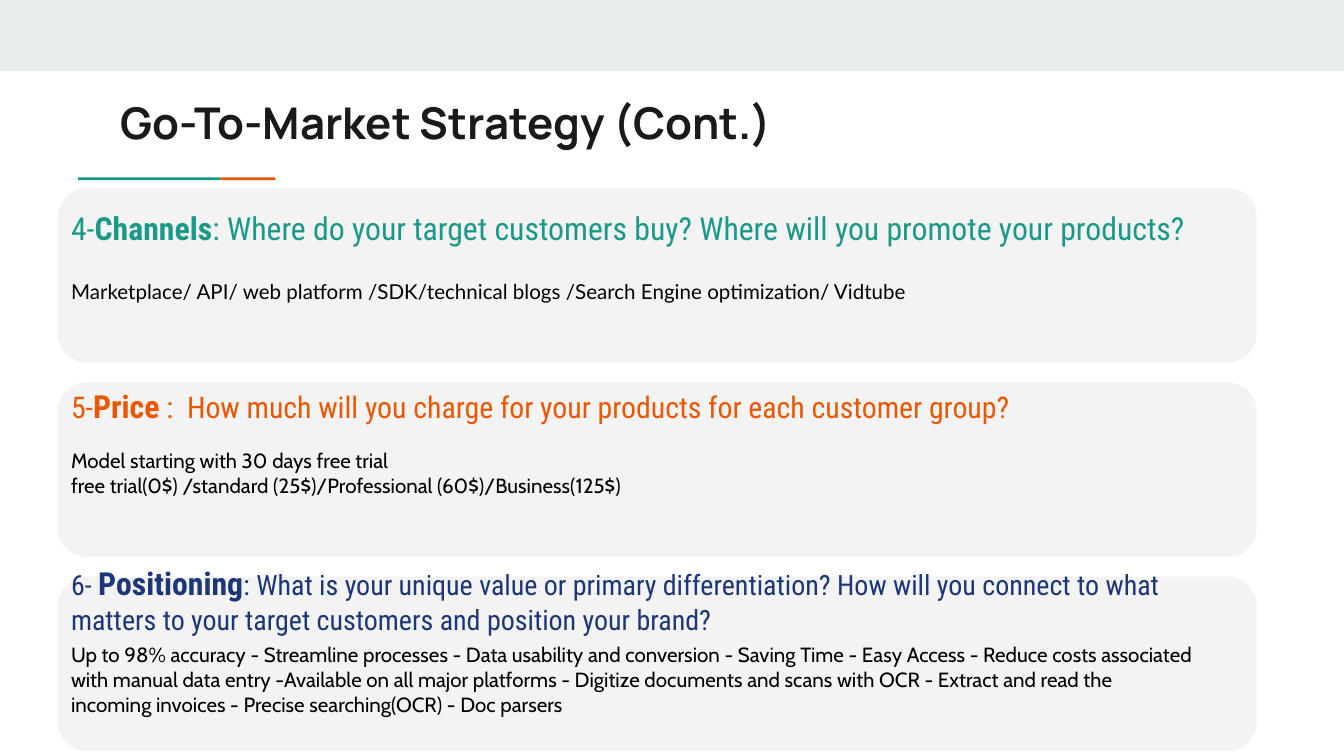
from dataclasses import dataclass

from pptx import Presentation
from pptx.dml.color import RGBColor
from pptx.enum.shapes import MSO_SHAPE as Preset
from pptx.enum.text import MSO_ANCHOR as Anchor
from pptx.util import Inches, Pt


@dataclass(frozen=True)
class Theme:
    band: str = "E9EDEE"
    card: str = "F3F3F3"
    ink: str = "1A1A1A"
    body: str = "000000"
    teal: str = "1A9988"
    orange: str = "EB5600"
    navy: str = "1C3678"
    title_font: str = "Manrope"
    heading_font: str = "Roboto Condensed"
    title_size: float = 23.4
    keyword_size: float = 17
    body_size: float = 11


THEME = Theme()
LEFT = 0.43
TEXT_WIDTH = 8.79
WIDE_TEXT_WIDTH = 9.02
CARD_TOP = 1.4
LAST_CARD_TOP = 4.29


@dataclass(frozen=True)
class Section:
    number: str
    keyword: str
    question: str
    question_size: float
    color: str
    lines: tuple
    body_font: str
    heading_offset: float = 0.03
    heading_width: float = TEXT_WIDTH
    body_width: float = TEXT_WIDTH
    body_anchor: Anchor = Anchor.TOP


SECTIONS = (
    Section(
        "4-", "Channels",
        ": Where do your target customers buy? Where will you promote your products?",
        17, THEME.teal,
        ("Marketplace/ API/ web platform /SDK/technical blogs "
         "/Search Engine optimization/ Vidtube",),
        "Lato", heading_offset=0.15, body_width=WIDE_TEXT_WIDTH,
        body_anchor=Anchor.MIDDLE,
    ),
    Section(
        "5-", "Price",
        " :  How much will you charge for your products for each customer group?",
        16, THEME.orange,
        ("Model starting with 30 days free trial",
         "free trial(0$) /standard (25$)/Professional (60$)/Business(125$)"),
        "Cabin", heading_width=WIDE_TEXT_WIDTH,
    ),
    Section(
        "6- ", "Positioning",
        ": What is your unique value or primary differentiation? How will you "
        "connect to what matters to your target customers and position your brand?",
        15, THEME.navy,
        ("Up to 98% accuracy - Streamline processes - Data usability and conversion "
         "- Saving Time - Easy Access - Reduce costs associated with manual data entry "
         "-Available on all major platforms - Digitize documents and scans with OCR "
         "- Extract and read the incoming invoices - Precise searching(OCR) - Doc parsers",),
        "Cabin",
    ),
)


def add_block(slide, preset, left, top, width, height, color):
    shape = slide.shapes.add_shape(
        preset, Inches(left), Inches(top), Inches(width), Inches(height))
    shape.shadow.inherit = False
    shape.fill.solid()
    shape.fill.fore_color.rgb = RGBColor.from_string(color)
    shape.line.fill.background()


def add_text_frame(slide, left, top, width, height, anchor=Anchor.MIDDLE, right_inset=0.1):
    box = slide.shapes.add_textbox(
        Inches(left), Inches(top), Inches(width), Inches(height))
    frame = box.text_frame
    frame.word_wrap = True
    frame.vertical_anchor = anchor
    frame.margin_left = frame.margin_top = frame.margin_bottom = Inches(0.1)
    frame.margin_right = Inches(right_inset)
    return frame


def style_font(font, name, size, color, bold=False):
    font.name = name
    font.size = Pt(size)
    font.bold = bold
    font.color.rgb = RGBColor.from_string(color)


def add_title(slide, text):
    paragraph = add_text_frame(slide, 0.8, 0.61, 8.41, 0.59).paragraphs[0]
    paragraph.text = text
    style_font(paragraph.font, THEME.title_font, THEME.title_size, THEME.ink, True)


def add_heading(slide, section, top):
    frame = add_text_frame(slide, LEFT, top, section.heading_width, 0.29)
    paragraph = frame.paragraphs[0]
    for text, size, bold in (
        (section.number, section.question_size, False),
        (section.keyword, THEME.keyword_size, True),
        (section.question, section.question_size, False),
    ):
        run = paragraph.add_run()
        run.text = text
        style_font(run.font, THEME.heading_font, size, section.color, bold)


def add_body(slide, section, top):
    frame = add_text_frame(
        slide, LEFT, top, section.body_width, 0.76, section.body_anchor, 0.3)
    frame.text = "\n".join(section.lines)
    for paragraph in frame.paragraphs:
        style_font(paragraph.font, section.body_font, THEME.body_size, THEME.body)


def add_section(slide, section, top):
    add_block(slide, Preset.ROUNDED_RECTANGLE, LEFT, top, 8.92, 1.3, THEME.card)
    add_body(slide, section, top + 0.39)
    add_heading(slide, section, top + section.heading_offset)


def main():
    presentation = Presentation()
    presentation.slide_width = Inches(10)
    presentation.slide_height = Inches(10 * 9 / 16)
    slide = presentation.slides.add_slide(presentation.slide_layouts[6])

    add_block(slide, Preset.RECTANGLE, 0, 0, 10, 0.53, THEME.band)
    add_block(slide, Preset.RECTANGLE, 0.58, 1.32, 1.06, 0.02, THEME.teal)
    add_block(slide, Preset.RECTANGLE, 1.64, 1.32, 0.41, 0.02, THEME.orange)
    add_title(slide, "Go-To-Market Strategy (Cont.)")
    card_pitch = (LAST_CARD_TOP - CARD_TOP) / (len(SECTIONS) - 1)
    for index, section in enumerate(SECTIONS):
        add_section(slide, section, CARD_TOP + index * card_pitch)

    presentation.save("out.pptx")


if __name__ == "__main__":
    main()
